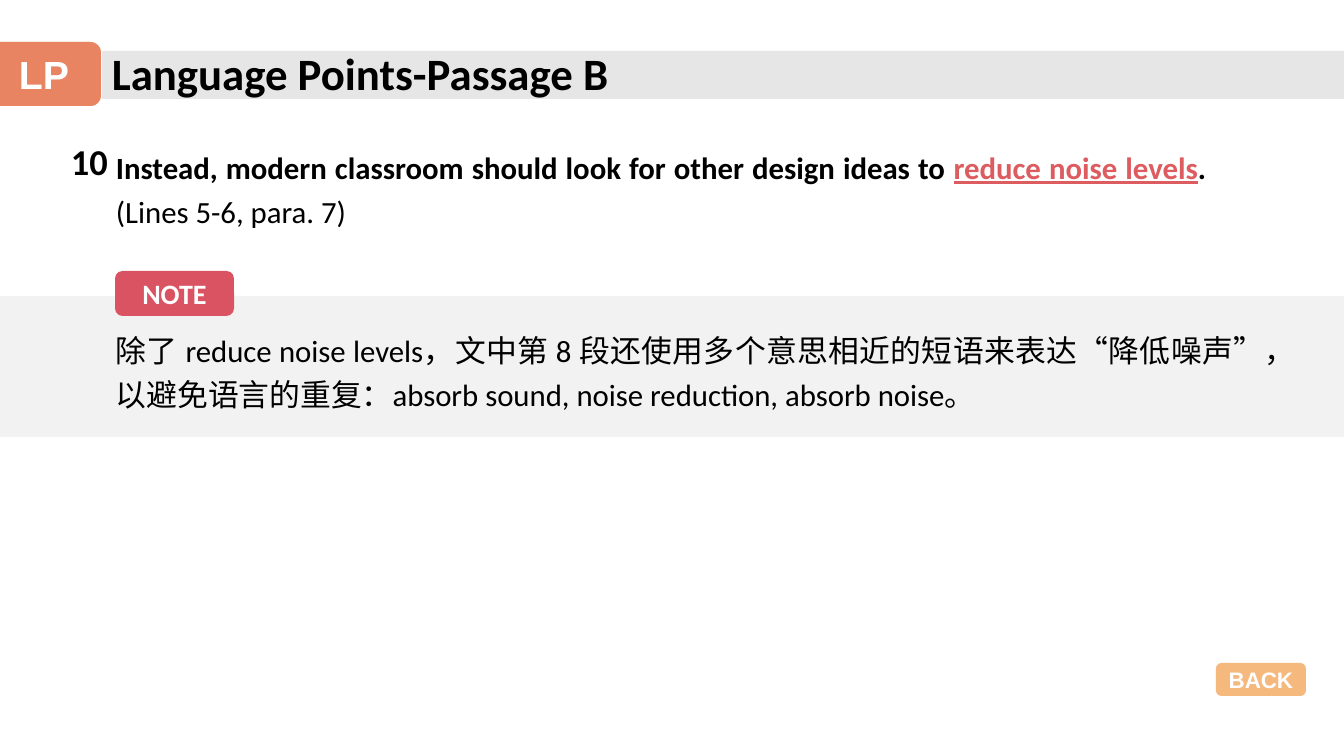
from lxml.etree import SubElement
from pptx import Presentation
from pptx.dml.color import RGBColor
from pptx.enum.shapes import MSO_SHAPE as Preset
from pptx.enum.text import MSO_ANCHOR as Anchor, MSO_AUTO_SIZE as AutoSize, PP_ALIGN as Align
from pptx.oxml.ns import qn
from pptx.util import Pt

PX = 9144000 / 1008  # EMU in one px


def color(hex_string):
    return RGBColor.from_string(hex_string)


def write(shape, runs, size, font="Calibri", align=Align.LEFT, spacing=None):
    """Fill a shape's only paragraph with (text, font values) runs."""
    paragraph = shape.text_frame.paragraphs[0]
    paragraph.alignment = align
    paragraph.line_spacing = spacing
    for text, values in runs:
        run = paragraph.add_run()
        run.text = text
        run.font.name = font
        run.font.size = Pt(size)
        run.font.color.rgb = color(values.get("color", "000000"))
        for name in ("bold", "underline"):
            setattr(run.font, name, values.get(name, False))


presentation = Presentation()
presentation.slide_width = round(1344 * PX)
presentation.slide_height = round(756 * PX)
slide = presentation.slides.add_slide(presentation.slide_layouts[6])

# Bands and badges, back to front: box, preset, fill, opacity %, label, size, font
BADGE = (-13, 42, 114, 64)
shapes = [
    (BADGE, Preset.ROUNDED_RECTANGLE, "F19B48", 71, "", 28, "Arial"),
    ((102, 51, 1242, 48), Preset.RECTANGLE, "E7E6E6", 100, "", 28, "Arial"),
    (BADGE, Preset.ROUNDED_RECTANGLE, "E47057", 71, "LP", 28, "Arial"),
    ((1216, 663, 90, 33), Preset.ROUNDED_RECTANGLE, "F19B48", 71, "BACK", 16, "Arial"),
    ((0, 296, 1344, 141), Preset.RECTANGLE, "F2F2F2", 100, "", 20, "Calibri"),
    ((115, 271, 119, 45), Preset.ROUNDED_RECTANGLE, "DA5362", 100, "NOTE", 20, "Calibri"),
]
for box, preset, fill, opacity, label, size, font in shapes:
    shape = slide.shapes.add_shape(preset, *(round(length * PX) for length in box))
    shape.shadow.inherit = False
    shape.line.fill.background()
    shape.fill.solid()
    shape.fill.fore_color.rgb = color(fill)
    if opacity < 100:
        fill_color = shape.fill._xPr.find(".//" + qn("a:srgbClr"))
        SubElement(fill_color, qn("a:alpha"), val=str(opacity * 1000))
    if label:
        shape.text_frame.vertical_anchor = Anchor.MIDDLE
        write(shape, [(label, {"color": "FFFFFF", "bold": True})], size, font, Align.CENTER)

# Texts: box, runs, size, alignment, line spacing
BOLD = {"bold": True}
texts = [
    ((102, 41, 531, 65), [("Language Points-Passage B", BOLD)], 32, Align.LEFT, None),
    ((61, 134, 64, 54), [("10", BOLD)], 26, Align.LEFT, None),
    ((106, 136, 1110, 97), [
        ("Instead, modern classroom should look for other design ideas to ", BOLD),
        ("reduce noise levels", {"color": "DD5C60", "bold": True, "underline": True}),
        (". ", BOLD),
        ("(Lines 5-6, para. 7) ", {}),
    ], 22, Align.JUSTIFY, 1.2),
    ((106, 319, 1200, 96), [
        ("除了 reduce noise levels，文中第 8 段还使用多个意思相近的短语来表达“降低噪声”，"
         "以避免语言的重复：absorb sound, noise reduction, absorb noise。", {}),
    ], 22, Align.JUSTIFY, 1.2),
]
for box, runs, size, align, spacing in texts:
    text_box = slide.shapes.add_textbox(*(round(length * PX) for length in box))
    text_box.text_frame.word_wrap = True
    text_box.text_frame.auto_size = AutoSize.SHAPE_TO_FIT_TEXT
    write(text_box, runs, size, align=align, spacing=spacing)

presentation.save("out.pptx")
